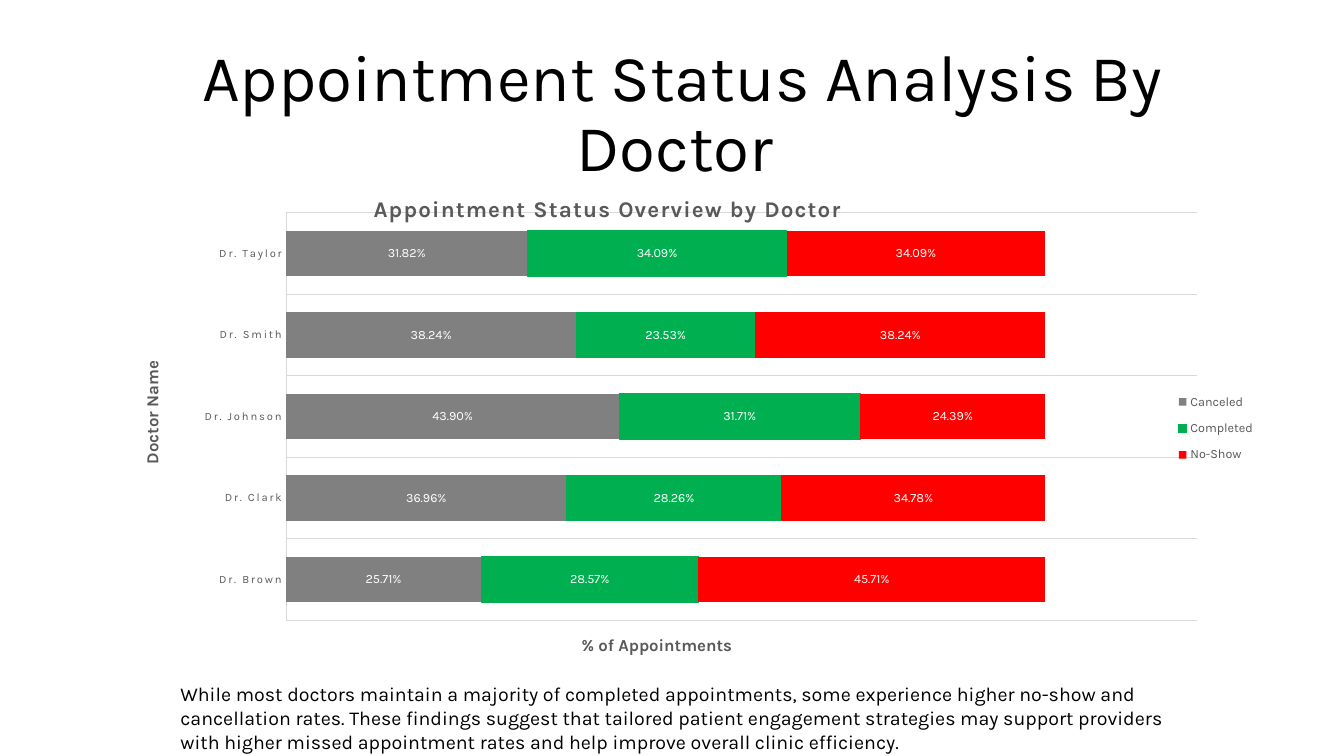
from lxml import etree
from pptx import Presentation
from pptx.chart.data import CategoryChartData
from pptx.dml.color import RGBColor
from pptx.enum.chart import (XL_CHART_TYPE, XL_LABEL_POSITION,
                             XL_LEGEND_POSITION, XL_TICK_MARK)
from pptx.enum.text import MSO_ANCHOR, MSO_AUTO_SIZE, PP_ALIGN
from pptx.oxml.ns import qn
from pptx.util import Inches, Pt

STACKED = XL_CHART_TYPE.BAR_STACKED
MIDDLE = MSO_ANCHOR.MIDDLE
CENTER, LEFT = PP_ALIGN.CENTER, PP_ALIGN.LEFT
NO_TICK = XL_TICK_MARK.NONE
BLACK = RGBColor(0x00, 0x00, 0x00)
WHITE = RGBColor(0xFF, 0xFF, 0xFF)
DARK = RGBColor(0x59, 0x59, 0x59)
PALE = RGBColor(0xD9, 0xD9, 0xD9)
GRAY = RGBColor(0x80, 0x80, 0x80)
GREEN = RGBColor(0x00, 0xB0, 0x50)
RED = RGBColor(0xFF, 0x00, 0x00)
FONT = "Karla"
PERCENT = "0.00%"

# Content
TITLE = "Appointment Status Analysis By Doctor "
HEAD = "Appointment Status Overview by Doctor"
NOTE = ("While most doctors maintain a majority of completed appointments, "
        "some experience higher no-show and cancellation rates. These findings "
        "suggest that tailored patient engagement strategies may support "
        "providers with higher missed appointment rates and help improve "
        "overall clinic efficiency.")
DOCTORS = ["Dr. Brown", "Dr. Clark", "Dr. Johnson", "Dr. Smith", "Dr. Taylor"]
STATUS = [
    ("Canceled", GRAY, [0.2571, 0.3696, 0.4390, 0.3824, 0.3182]),
    ("Completed", GREEN, [0.2857, 0.2826, 0.3171, 0.2353, 0.3409]),
    ("No-Show", RED, [0.4571, 0.3478, 0.2439, 0.3824, 0.3409]),
]


def style(font, size, color, bold=False):
    font.name, font.size, font.bold = FONT, Pt(size), bold
    font.color.rgb = color


def write(frame, text, size=14, color=BLACK, bold=False, align=LEFT,
          gap=None, turn=None):
    para = frame.paragraphs[0]
    para.alignment = align
    run = para.add_run()
    run.text = text
    style(run.font, size, color, bold)
    if gap:
        run.font._element.set("spc", str(gap))
    if turn:
        frame._txBody.bodyPr.set("rot", str(turn * 60000))
        frame._txBody.bodyPr.set("vert", "horz")


def place(node, x, y, w=None, h=None, inner=False):
    """Set a manual layout as fractions of the chart area."""
    for old in node.findall(qn("c:layout")):
        node.remove(old)
    layout = etree.Element(qn("c:layout"))
    manual = etree.SubElement(layout, qn("c:manualLayout"))
    parts = [("layoutTarget", "inner")] if inner else []
    parts += [("xMode", "edge"), ("yMode", "edge"), ("x", x), ("y", y)]
    if w:
        parts += [("w", w), ("h", h)]
    for name, val in parts:
        etree.SubElement(manual, qn("c:" + name)).set("val", str(val))
    over = node.find(qn("c:overlay"))
    if over is None:
        node.insert(0, layout)
    else:
        over.addprevious(layout)


deck = Presentation()
deck.slide_width, deck.slide_height = Inches(13.33), Inches(7.5)
slide = deck.slides.add_slide(deck.slide_layouts[5])

# Slide title
title = slide.shapes.title
title.left, title.top = Inches(1.02), Inches(0.32)
title.width, title.height = Inches(11.5), Inches(1.65)
frame = title.text_frame
frame.auto_size = MSO_AUTO_SIZE.NONE
frame.vertical_anchor = MIDDLE
write(frame, TITLE, size=46.8, align=CENTER)
frame.paragraphs[0].line_spacing = 0.9

# Chart
data = CategoryChartData(number_format=PERCENT)
data.categories = DOCTORS
for name, _, vals in STATUS:
    data.add_series(name, vals)
chart = slide.shapes.add_chart(STACKED, Inches(1.02), Inches(1.59),
                               Inches(11.5), Inches(5.02), data).chart
style(chart.font, 10, BLACK)
plot = chart.plots[0]
plot.gap_width, plot.overlap = 79, 100
plot.vary_by_categories = False
for series, (_, color, _) in zip(plot.series, STATUS):
    series.format.fill.solid()
    series.format.fill.fore_color.rgb = color
    if color == GREEN:
        series.format.line.color.rgb = color
        series.format.line.width = Pt(0.75)
    labels = series.data_labels
    labels.show_value = True
    labels.position = XL_LABEL_POSITION.CENTER
    labels.number_format, labels.number_format_is_linked = PERCENT, False
    style(labels.font, 9, WHITE)

# Axes
cat, val = chart.category_axis, chart.value_axis
cat.major_tick_mark = cat.minor_tick_mark = NO_TICK
cat.has_major_gridlines = True
for line in (cat.format.line, cat.major_gridlines.format.line):
    line.color.rgb = PALE
    line.width = Pt(0.75)
style(cat.tick_labels.font, 8, DARK)
cat.tick_labels.font._element.set("spc", "120")
val.minimum_scale, val.maximum_scale = 0, 1.2
val.has_major_gridlines = False
val.tick_labels.number_format = PERCENT
val.tick_labels.number_format_is_linked = False
val.visible = False

# Chart and axis titles
chart.has_title = True
for part, text, x, y, form in (
        (chart.chart_title, HEAD, 0.23, 0.06, {"size": 16, "gap": 100}),
        (cat.axis_title, "Doctor Name", 0.03, 0.39, {"size": 12, "turn": -90}),
        (val.axis_title, "% of Appointments", 0.41, 0.93, {"size": 12})):
    write(part.text_frame, text, color=DARK, bold=True, align=CENTER, **form)
    place(part._element, x, y)

# Legend and plot area
chart.has_legend = True
legend = chart.legend
legend.position = XL_LEGEND_POSITION.RIGHT
legend.include_in_layout = False
style(legend.font, 9, DARK)
place(legend._element, 0.92, 0.44, 0.08, 0.18)
place(chart._chartSpace.chart.plotArea, 0.158, 0.104, 0.786, 0.805, inner=True)

# Finding
note = slide.shapes.add_textbox(Inches(1.69), Inches(6.72),
                                Inches(9.98), Inches(0.81)).text_frame
note.word_wrap = True
note.auto_size = MSO_AUTO_SIZE.SHAPE_TO_FIT_TEXT
write(note, NOTE)

deck.save("out.pptx")
